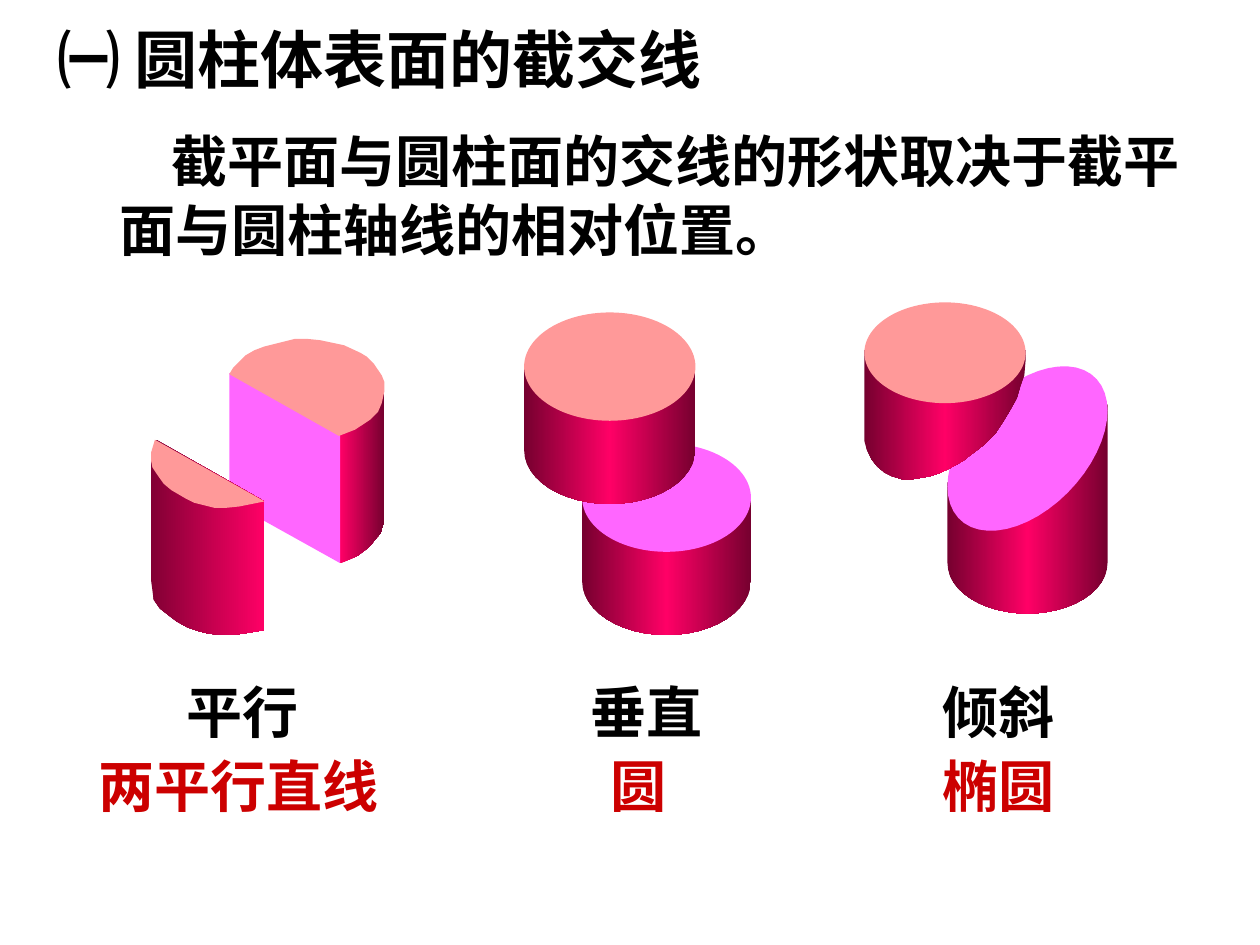
from copy import deepcopy
from math import cos, pi, sin

from lxml import etree
from pptx import Presentation
from pptx.dml.color import RGBColor
from pptx.enum import shapes, text
from pptx.oxml.ns import qn
from pptx.util import Inches, Pt

FONT = "Noto Sans CJK SC"
BLACK, RED = "000000", "CC0000"
DARK, BRIGHT, TOP, CUT = "76002F", "FF0066", "FF9999", "FF66FF"
ROUND = [DARK, BRIGHT, DARK]

# text, left, top, width, height, size, colour, first-line indent
HEADINGS = [
    ("㈠ 圆柱体表面的截交线", 0.36, 0.1, 5.33, 0.7, 36, BLACK, 0),
    ("截平面与圆柱面的交线的形状取决于截平面与圆柱轴线的相对位置。",
     0.85, 0.95, 8.73, 1.17, 32, BLACK, 0.41),
]
# position of the plane, its left and width; resulting curve, its left and width
CASES = [
    ("平行", 1.38, 1.09, "两平行直线", 0.68, 2.42),
    ("垂直", 4.59, 1.09, "圆", 4.75, 0.64),
    ("倾斜", 7.38, 1.57, "椭圆", 7.38, 1.09),
]
CASE_TOP, CURVE_TOP, LABEL_HEIGHT = 5.32, 5.91, 0.64

BACK_SIDE = [(3.05, 3.05), (3.05, 4.13), (3.02, 4.23), (2.93, 4.34), (2.84, 4.41),
             (2.7, 4.47), (2.7, 3.41)]
BACK_CUT = [(1.82, 2.96), (1.82, 3.98), (2.7, 4.47), (2.7, 3.45)]
BACK_TOP = [(1.82, 2.97), (1.85, 2.92), (1.95, 2.82), (2.02, 2.78), (2.1, 2.75),
            (2.26, 2.71), (2.34, 2.69), (2.44, 2.69), (2.54, 2.7), (2.73, 2.74),
            (2.86, 2.8), (2.91, 2.83), (2.97, 2.89), (3.03, 2.98), (3.05, 3.03),
            (3.05, 3.11), (3.03, 3.2), (3, 3.27), (2.94, 3.33), (2.82, 3.41), (2.69, 3.46)]
FRONT_SIDE = [(1.24, 3.49), (1.2, 3.61), (1.2, 4.61), (1.22, 4.76), (1.27, 4.83),
              (1.4, 4.93), (1.49, 4.98), (1.58, 5.01), (1.66, 5.03), (1.82, 5.04),
              (1.92, 5.03), (2.1, 5), (2.1, 3.98)]
FRONT_TOP = [(1.23, 3.49), (1.2, 3.59), (1.2, 3.66), (1.21, 3.71), (1.25, 3.77),
             (1.3, 3.84), (1.36, 3.89), (1.48, 3.96), (1.54, 3.99), (1.62, 4.01),
             (1.7, 4.03), (1.8, 4.03), (1.9, 4.02), (2.1, 3.98)]
SLANTED_SIDE = [(6.86, 2.78), (6.86, 3.5), (6.88, 3.57), (6.92, 3.65), (6.96, 3.7),
                (7.02, 3.75), (7.08, 3.78), (7.18, 3.81), (7.27, 3.8), (7.38, 3.78),
                (7.47, 3.75), (7.55, 3.71), (7.64, 3.66), (7.81, 3.53), (7.9, 3.44),
                (7.96, 3.35), (8.02, 3.25), (8.07, 3.16), (8.1, 3.06), (8.13, 2.98),
                (8.14, 2.86), (8.14, 2.78)]


def color(value):
    return RGBColor.from_string(value)


def cylinder_side(left, right, left_top, right_top, base, depth):
    """Outline with straight sides and a half ellipse below the base level."""
    mid, radius = (left + right) / 2, (right - left) / 2
    arc = [(mid - radius * cos(pi * i / 24), base + depth * sin(pi * i / 24))
           for i in range(25)]
    return [(left, left_top), *arc, (right, right_top)]


def slanted_ellipse(cx, cy, radius, rise, depth):
    """Circle seen on a tilted plane that rises to the right."""
    angles = [2 * pi * i / 48 for i in range(48)]
    return [(cx + radius * cos(a), cy - rise * cos(a) + depth * sin(a)) for a in angles]


def paint(sp, fill):
    """Fill with one colour, or with a left-to-right gradient of a list."""
    sp.shadow.inherit = False
    sp.line.fill.background()
    if isinstance(fill, str):
        sp.fill.solid()
        sp.fill.fore_color.rgb = color(fill)
        return
    sp.fill.gradient()
    sp.fill.gradient_angle = 0
    stops = sp._element.spPr.find(qn("a:gradFill")).find(qn("a:gsLst"))
    for _ in fill[2:]:
        stops.append(deepcopy(stops[0]))
    for i, (stop, value) in enumerate(zip(sp.fill.gradient_stops, fill)):
        stop.color.rgb = color(value)
        stop.position = i / (len(fill) - 1)


def add_outline(group, points, fill):
    points = [(Inches(x), Inches(y)) for x, y in points]
    builder = group.shapes.build_freeform(*points[0])
    builder.add_line_segments(points[1:], close=True)
    paint(builder.convert_to_shape(), fill)


def add_ellipse(group, left, top, width, height, fill):
    sp = group.shapes.add_shape(shapes.MSO_SHAPE.OVAL, Inches(left), Inches(top),
                                Inches(width), Inches(height))
    paint(sp, fill)


def add_text(slide, content, left, top, width, height, size, value, indent=0):
    sp = slide.shapes.add_textbox(Inches(left), Inches(top), Inches(width), Inches(height))
    tf = sp.text_frame
    tf.word_wrap = width > 6
    tf.auto_size = text.MSO_AUTO_SIZE.NONE
    p = tf.paragraphs[0]
    p.line_spacing = Pt(round(size * 1.215))
    if indent:
        p._p.get_or_add_pPr().set("indent", str(Inches(indent)))
    r = p.add_run()
    r.text = content
    r.font.name, r.font.size, r.font.bold = FONT, Pt(size), True
    r.font.color.rgb = color(value)
    etree.SubElement(r.font._element, qn("a:ea"), typeface=FONT)


prs = Presentation()
prs.slide_width, prs.slide_height = Inches(10), Inches(7.5)
slide = prs.slides.add_slide(prs.slide_layouts[6])

for heading in HEADINGS:
    add_text(slide, *heading)
for case, case_left, case_width, curve, curve_left, curve_width in CASES:
    add_text(slide, case, case_left, CASE_TOP, case_width, LABEL_HEIGHT, 32, BLACK)
    add_text(slide, curve, curve_left, CURVE_TOP, curve_width, LABEL_HEIGHT, 32, RED)

parallel = slide.shapes.add_group_shape()
for points, fill in [(BACK_SIDE, [BRIGHT, DARK]), (BACK_CUT, CUT), (BACK_TOP, TOP),
                     (FRONT_SIDE, ["820034", BRIGHT]), (FRONT_TOP, TOP)]:
    add_outline(parallel, points, fill)

perpendicular = slide.shapes.add_group_shape()
for left, right, top, fill in [(4.62, 5.96, 3.52, CUT), (4.16, 5.52, 2.48, TOP)]:
    rim = top + 0.43
    add_outline(perpendicular, cylinder_side(left, right, rim, rim, top + 1.09, 0.43), ROUND)
    add_ellipse(perpendicular, left, top, right - left, 0.86, fill)

oblique = slide.shapes.add_group_shape()
add_outline(oblique, cylinder_side(7.52, 8.79, 3.83, 3.21, 4.47, 0.4), ROUND)
add_outline(oblique, slanted_ellipse(8.155, 3.56, 0.635, 0.3, 0.58), CUT)
add_outline(oblique, SLANTED_SIDE, ROUND)
add_ellipse(oblique, 6.86, 2.4, 1.28, 0.8, TOP)

prs.save("out.pptx")
